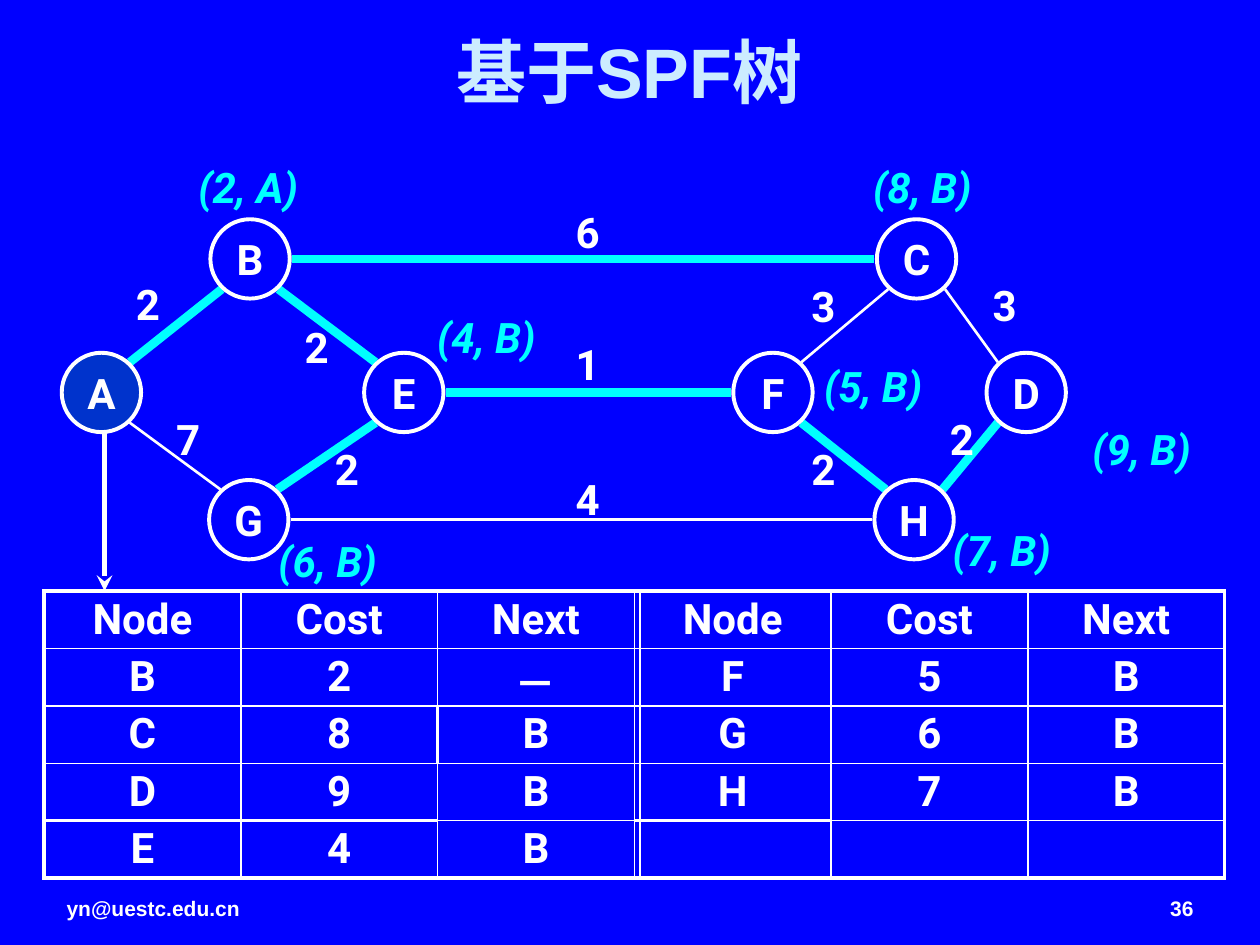
import pptx
import pptx.util
import pptx.dml.color
import pptx.enum.shapes
import pptx.enum.text
import pptx.oxml
import pptx.oxml.ns

RGB = pptx.dml.color.RGBColor
BLUE = RGB(0x00, 0x00, 0xFF)
NAVY = RGB(0x00, 0x33, 0xCC)
WHITE = RGB(0xFF, 0xFF, 0xFF)
CYAN = RGB(0x00, 0xFF, 0xFF)
PALE = RGB(0xCC, 0xEC, 0xFF)

ALIGN = pptx.enum.text.PP_ALIGN
MIDDLE = pptx.enum.text.MSO_ANCHOR.MIDDLE
TOP = pptx.enum.text.MSO_ANCHOR.TOP
COLS, ROWS = 100, 75
SIZE = 6.3

NODES = {
    "B": (19.85, 20.55), "C": (72.75, 20.55), "F": (61.35, 31.15),
    "H": (72.55, 41.25), "D": (81.45, 31.15), "E": (32.05, 31.15),
    "G": (19.75, 41.25), "A": (8.05, 31.15),
}
TREE = ["AB", "BC", "BE", "EF", "FH", "EG", "HD"]
OTHER = ["AG", "CD", "FC", "GH"]
COSTS = [
    ("7", 13, 32.3), ("2", 23.2, 25), ("2", 63.4, 34.7), ("2", 25.6, 34.7),
    ("4", 44.7, 37.1), ("2", 74.4, 32.3), ("3", 77.8, 21.7), ("3", 63.4, 21.8),
    ("2", 9.8, 21.6), ("6", 44.7, 15.9), ("1", 44.7, 26.4),
]
ROUTES = [
    ("(2, A)", 14.6, 12.3), ("(4, B)", 33.5, 24.2), ("(8, B)", 68.1, 12.3),
    ("(5, B)", 64.2, 28.1), ("(6, B)", 20.9, 42), ("(7, B)", 74.4, 41.1),
    ("(9, B)", 85.5, 33.1),
]
TABLE = [
    ["Node", "Cost", "Next", "Node", "Cost", "Next"],
    ["B", "2", "－", "F", "5", "B"],
    ["C", "8", "B", "G", "6", "B"],
    ["D", "9", "B", "H", "7", "B"],
    ["E", "4", "B", "", "", ""],
]


class Deck:
    """Holds the style and the current slide, measured in grid columns and rows."""

    def __init__(self):
        self.prs = pptx.Presentation()
        self.prs.slide_width = pptx.util.Inches(10)
        self.prs.slide_height = pptx.util.Inches(7.5)
        self.slide = self.prs.slides.add_slide(self.prs.slide_layouts[6])
        self.slide.background.fill.solid()
        self.slide.background.fill.fore_color.rgb = BLUE
        self.shapes = self.slide.shapes

    def grid(self, *vals):
        sizes = (self.prs.slide_width / COLS, self.prs.slide_height / ROWS)
        return [round(val * sizes[i % 2]) for i, val in enumerate(vals)]

    def label(self, frame, text, size=24, font="Roboto", color=WHITE,
              italic=False, align=ALIGN.CENTER):
        para = frame.paragraphs[0]
        para.alignment = align
        run = para.add_run()
        run.text = text
        run.font.size = pptx.util.Pt(size)
        run.font.name = font
        run.font.bold = True
        run.font.italic = italic
        run.font.color.rgb = color

    def text(self, text, box, wrap=False, anchor=TOP, **style):
        frame = self.shapes.add_textbox(*self.grid(*box)).text_frame
        frame.word_wrap = wrap
        frame.vertical_anchor = anchor
        self.label(frame, text, **style)

    def node(self, name, fill=None):
        x, y = NODES[name]
        oval = self.shapes.add_shape(
            pptx.enum.shapes.MSO_SHAPE.OVAL,
            *self.grid(x - SIZE / 2, y - SIZE / 2, SIZE, SIZE))
        oval.shadow.inherit = False
        if fill is None:
            oval.fill.background()
        else:
            oval.fill.solid()
            oval.fill.fore_color.rgb = fill
        oval.line.color.rgb = WHITE
        oval.line.width = pptx.util.Pt(2.25)
        frame = oval.text_frame
        frame.word_wrap = False
        frame.margin_top = frame.margin_bottom = 0
        frame.vertical_anchor = MIDDLE
        self.label(frame, name)

    def line(self, ends, color=WHITE, width=1.5, arrow=False):
        line = self.shapes.add_connector(
            pptx.enum.shapes.MSO_CONNECTOR.STRAIGHT, *self.grid(*ends))
        line.line.color.rgb = color
        line.line.width = pptx.util.Pt(width)
        props = line._element.spPr
        if arrow:
            props.find(pptx.oxml.ns.qn("a:ln")).append(pptx.oxml.parse_xml(
                f'<a:tailEnd {pptx.oxml.ns.nsdecls("a")} type="stealth"/>'))
        props.append(pptx.oxml.parse_xml(
            f'<a:effectLst {pptx.oxml.ns.nsdecls("a")}/>'))

    def edge(self, pair, **style):
        (x1, y1), (x2, y2) = (NODES[name] for name in pair)
        side = 1 if x2 > x1 else -1
        drop = (y2 > y1) - (y2 < y1)
        dx = side * (2.25 if drop else 3.35)
        dy = drop * 2.4
        self.line((x1 + dx, y1 + dy, x2 - dx, y2 - dy), **style)

    def border(self, cell, tag, thick):
        width = pptx.util.Pt(2.25 if thick else 1)
        cell._tc.get_or_add_tcPr().append(pptx.oxml.parse_xml(
            f'<a:{tag} {pptx.oxml.ns.nsdecls("a")} w="{int(width)}">'
            f'<a:solidFill><a:srgbClr val="{WHITE}"/></a:solidFill></a:{tag}>'))

    def table(self, data, box):
        high, wide = len(data), len(data[0])
        table = self.shapes.add_table(high, wide, *self.grid(*box)).table
        table.first_row = table.horz_banding = False

        def level(row, col):
            return row in (0, high) or row == 4 and col in (0, 1, 3)

        def plumb(row, col):
            return col in (0, wide) or (row, col) == (2, 2)

        for r, row in enumerate(data):
            for c, text in enumerate(row):
                cell = table.cell(r, c)
                self.border(cell, "lnL", plumb(r, c))
                self.border(cell, "lnR", plumb(r, c + 1))
                self.border(cell, "lnT", level(r, c))
                self.border(cell, "lnB", level(r + 1, c))
                cell.fill.background()
                cell.vertical_anchor = MIDDLE
                cell.margin_top = cell.margin_bottom = pptx.util.Inches(0.02)
                if text:
                    self.label(cell.text_frame, text)


def main():
    deck = Deck()
    deck.text("基于SPF树", (4.3, 1.2, 91.3, 8.8), wrap=True, anchor=MIDDLE,
              size=40, font="Arial", color=PALE)
    deck.text("yn@uestc.edu.cn", (4.3, 70.6, 66.5, 3.5), wrap=True,
              size=12, font="Arial", align=ALIGN.LEFT)
    deck.text("36", (72.5, 70.6, 23.2, 3.5), wrap=True,
              size=12, font="Arial", align=ALIGN.RIGHT)
    for pair in OTHER:
        deck.edge(pair)
    for pair in TREE:
        deck.edge(pair, color=CYAN, width=5)
    for text, x, y in COSTS:
        deck.text(text, (x, y, 3.2, 5))
    for text, x, y in ROUTES:
        deck.text(text, (x, y, 10.2, 5), color=CYAN, italic=True)
    deck.line((8.3, 33.6, 8.3, 46.9), width=3, arrow=True)
    for name in NODES:
        deck.node(name, NAVY if name == "A" else None)
    deck.table(TABLE, (3.5, 46.9, 93.7, 22.8))
    deck.line((50.8, 46.9, 50.8, 69.8), width=1)
    deck.prs.save("out.pptx")


if __name__ == "__main__":
    main()
